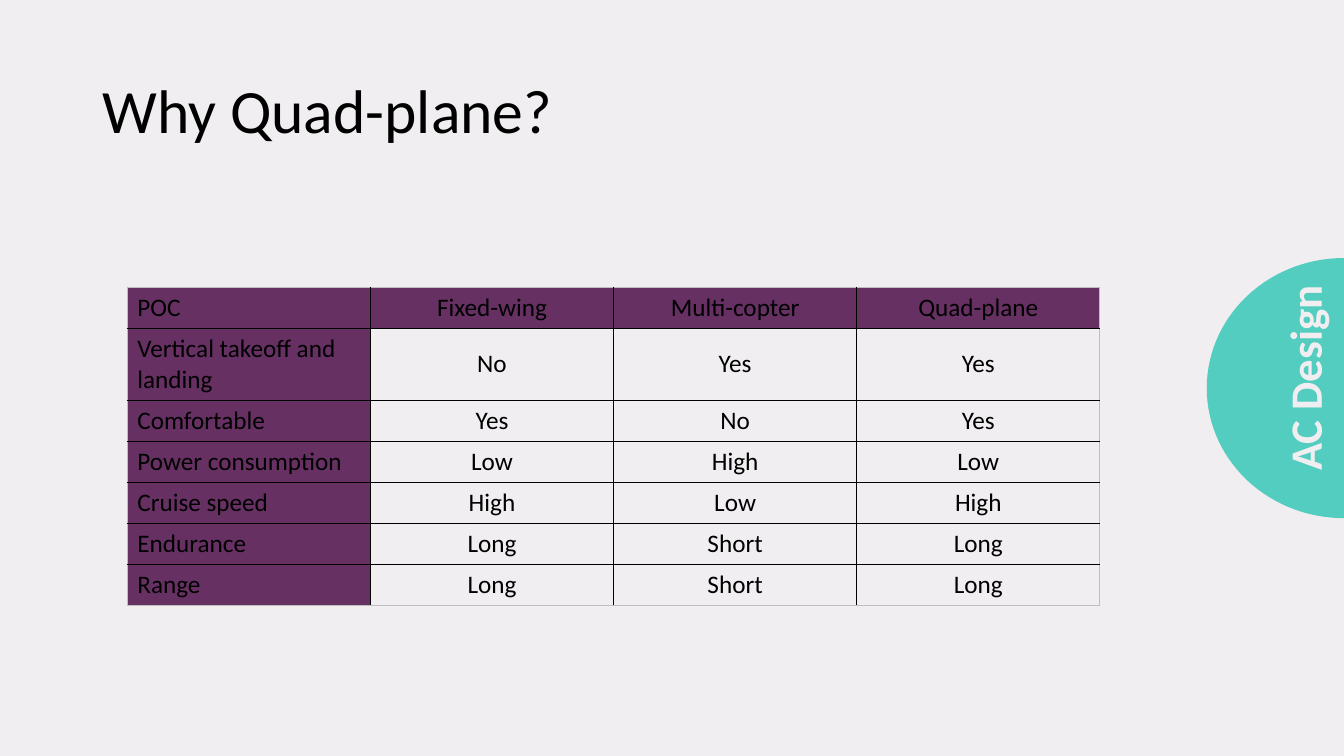
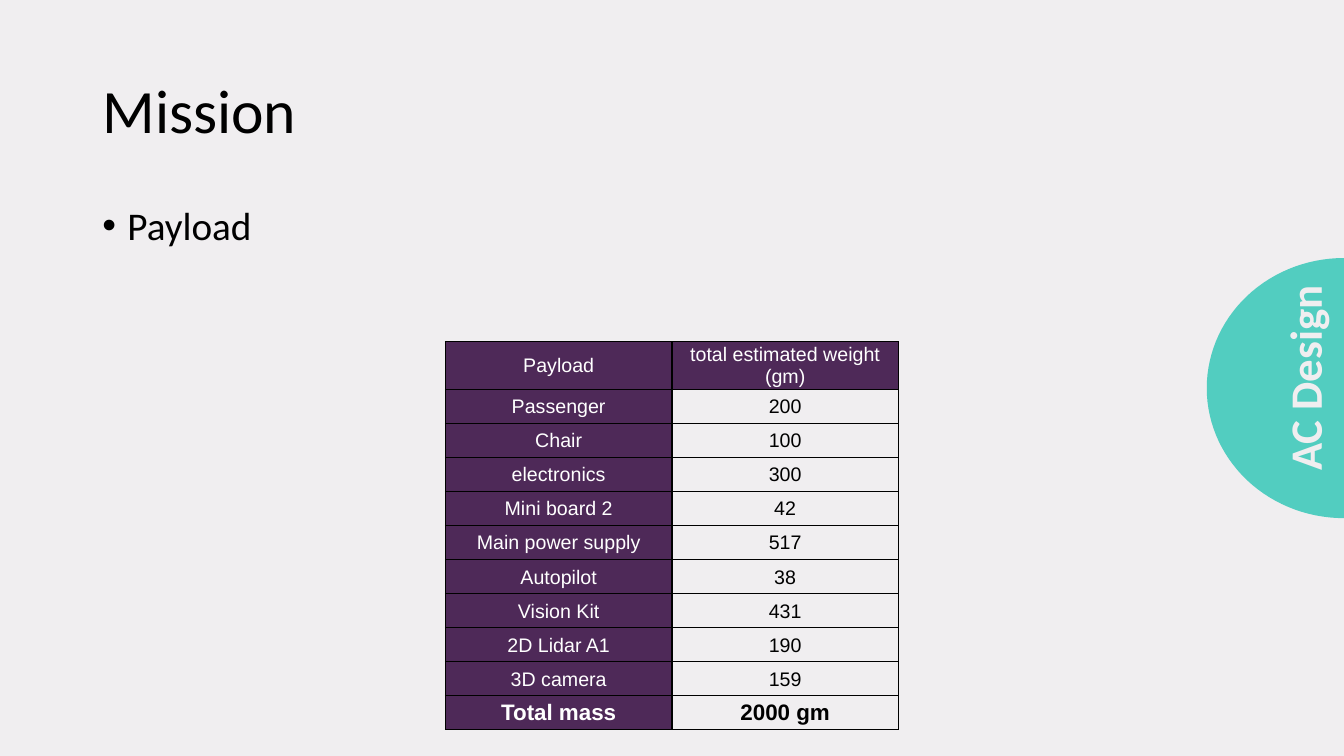
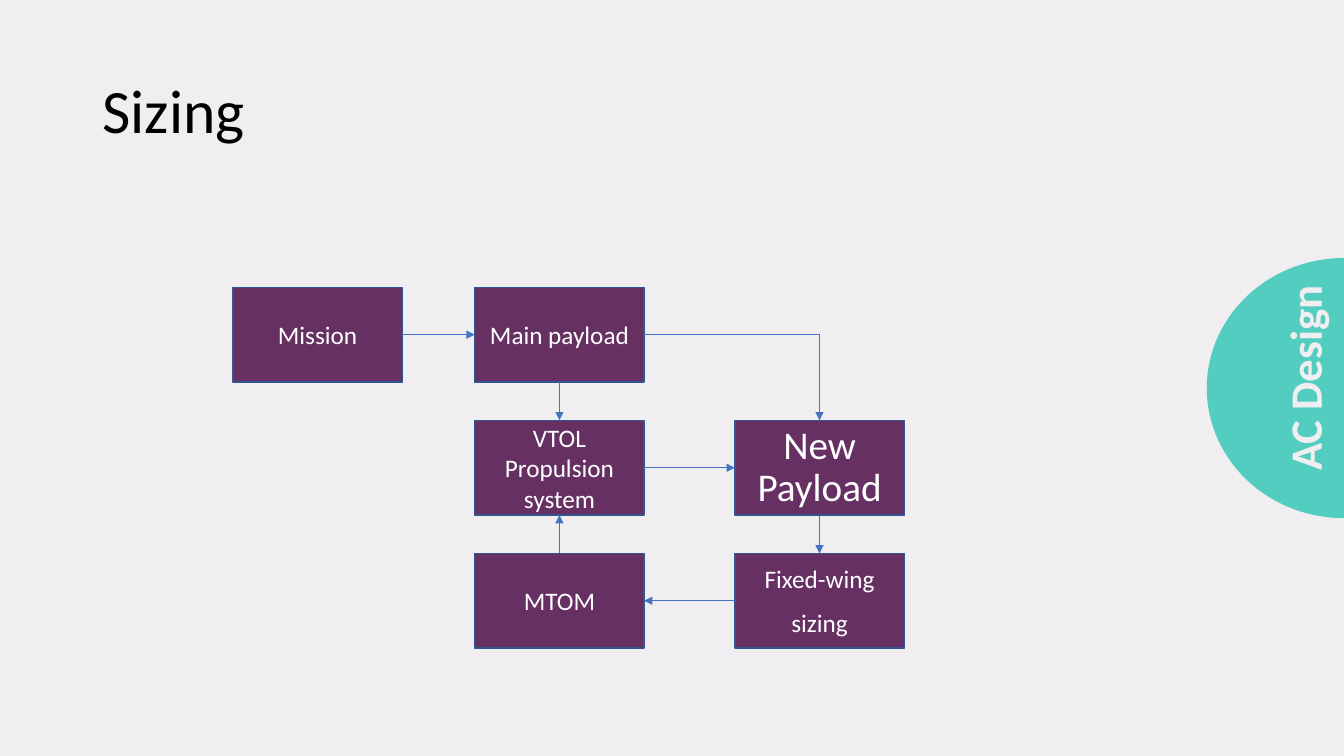
import math

import pptx
import pptx.dml.color
import pptx.enum.shapes
import pptx.enum.text
import pptx.oxml
import pptx.oxml.ns
import pptx.util

Pt = pptx.util.Pt
RGB = pptx.dml.color.RGBColor
ALIGN = pptx.enum.text.PP_ALIGN
ANCHOR = pptx.enum.text.MSO_ANCHOR
SHAPE = pptx.enum.shapes.MSO_SHAPE
CONNECTOR = pptx.enum.shapes.MSO_CONNECTOR
qn = pptx.oxml.ns.qn

# Shared look
BACKGROUND = RGB(0xF0, 0xEE, 0xF0)
BLACK = RGB(0x00, 0x00, 0x00)
WHITE = RGB(0xFF, 0xFF, 0xFF)
PURPLE = RGB(0x66, 0x30, 0x63)
DARK_PURPLE = RGB(0x4E, 0x29, 0x58)
TEAL = RGB(0x52, 0xCD, 0xC0)
BOX_LINE = RGB(0x32, 0x54, 0x91)
ARROW = RGB(0x44, 0x72, 0xC4)
GREY = RGB(0xBF, 0xBF, 0xBF)
FONT = "Calibri"
WIDTH, HEIGHT = 960, 540

# Flow chart grid
COLUMNS = (166.3, 339.1, 524.9)
ROW_TOP, ROW_STEP = 205.2, 95.05
BOX_W, BOX_H = 121, 67.7
TOP, LEFT, BOTTOM, RIGHT = range(4)

QUAD_ROWS = [
    ("POC", "Fixed-wing", "Multi-copter", "Quad-plane"),
    ("Vertical takeoff and landing", "No", "Yes", "Yes"),
    ("Comfortable", "Yes", "No", "Yes"),
    ("Power consumption", "Low", "High", "Low"),
    ("Cruise speed", "High", "Low", "High"),
    ("Endurance", "Long", "Short", "Long"),
    ("Range", "Long", "Short", "Long"),
]
PAYLOAD_ROWS = [
    ("Payload", "total estimated weight (gm)"),
    ("Passenger", "200"),
    ("Chair", "100"),
    ("electronics", "300"),
    ("Mini board 2", "42"),
    ("Main power supply", "517"),
    ("Autopilot", "38"),
    ("Vision Kit", "431"),
    ("2D Lidar A1", "190"),
    ("3D camera", "159"),
    ("Total mass", "2000 gm"),
]


def add_run(p, text, size, color, bold=False, font=FONT):
    r = p.add_run()
    r.text = text
    r.font.name, r.font.size, r.font.bold = font, Pt(size), bold
    r.font.color.rgb = color


def add_text_box(s, x, y, w, h):
    sp = s.shapes.add_textbox(Pt(x), Pt(y), Pt(w), Pt(h))
    sp.text_frame.word_wrap = True
    return sp


# Side band: half ellipse on the right edge with a rotated section name
def add_band(s):
    rx, ry, cy, steps = 98, 92.9, 277.2, 60
    angles = [math.pi * (0.5 + i / steps) for i in range(steps + 1)]
    points = [(Pt(WIDTH + rx * math.cos(a)), Pt(cy - ry * math.sin(a)))
              for a in angles]
    builder = s.shapes.build_freeform(*points[0])
    builder.add_line_segments(points[1:], close=True)
    sp = builder.convert_to_shape()
    sp.shadow.inherit = False
    sp.fill.solid()
    sp.fill.fore_color.rgb = TEAL
    sp.line.fill.background()

    sp = add_text_box(s, 854.6, 245.5, 157, 49)
    sp.rotation = 270
    p = sp.text_frame.paragraphs[0]
    p.alignment = ALIGN.CENTER
    add_run(p, "AC Design", 32, BACKGROUND, bold=True)


def add_slide(prs, title):
    s = prs.slides.add_slide(prs.slide_layouts[5])
    sp = s.shapes.title
    sp.left, sp.top, sp.width, sp.height = Pt(66), Pt(28.8), Pt(828), Pt(104.4)
    tf = sp.text_frame
    tf.vertical_anchor = ANCHOR.MIDDLE
    p = tf.paragraphs[0]
    p.alignment, p.line_spacing = ALIGN.LEFT, 0.9
    add_run(p, title, 44, BLACK)
    add_band(s)
    return s


def add_bullet(s, text):
    p = add_text_box(s, 66, 144, 828, 342.7).text_frame.paragraphs[0]
    p.line_spacing, p.space_before = 0.9, Pt(10)
    pPr = p._p.get_or_add_pPr()
    pPr.set("marL", str(Pt(18)))
    pPr.set("indent", str(-Pt(18)))
    bullet_font = pPr.makeelement(qn("a:buFont"), {"typeface": "Arial"})
    bullet = pPr.makeelement(qn("a:buChar"), {"char": "•"})
    pPr.extend([bullet_font, bullet])
    add_run(p, text, 28, BLACK)


# Tables
def set_border(cell, side, color):
    pPr = cell._tc.get_or_add_tcPr()
    pPr.append(pptx.oxml.parse_xml(
        f'<a:{side} xmlns:a="http://schemas.openxmlformats.org/drawingml/2006/main"'
        f' w="{Pt(1)}"><a:solidFill><a:srgbClr val="{color}"/></a:solidFill>'
        f'</a:{side}>'))


def add_table(s, rows, x, y, col_w, heights, fill, outer):
    n, m = len(rows), len(rows[0])
    tbl = s.shapes.add_table(n, m, Pt(x), Pt(y), Pt(col_w * m),
                             Pt(sum(heights))).table
    tbl.first_row = tbl.horz_banding = False
    for column in tbl.columns:
        column.width = Pt(col_w)
    for row, height in zip(tbl.rows, heights):
        row.height = Pt(height)
    for i in range(n):
        for j in range(m):
            cell = tbl.cell(i, j)
            edges = {"lnL": j == 0, "lnR": j == m - 1,
                     "lnT": i == 0, "lnB": i == n - 1}
            for side, on_edge in edges.items():
                set_border(cell, side, outer if on_edge else BLACK)
            if i == 0 or j == 0:
                cell.fill.solid()
                cell.fill.fore_color.rgb = fill
            else:
                cell.fill.background()
            cell.vertical_anchor = ANCHOR.MIDDLE
    return tbl


def add_quad_table(s):
    heights = [29.3, 51.4] + [29.3] * 5
    tbl = add_table(s, QUAD_ROWS, 90.9, 205.2, 173.7, heights, PURPLE, GREY)
    for i, row in enumerate(QUAD_ROWS):
        for j, text in enumerate(row):
            p = tbl.cell(i, j).text_frame.paragraphs[0]
            p.alignment = ALIGN.CENTER if j else ALIGN.LEFT
            add_run(p, text, 18, BLACK)


def add_payload_table(s):
    heights = [33.3] + [24.3] * 10
    tbl = add_table(s, PAYLOAD_ROWS, 318.2, 244, 161.8, heights,
                    DARK_PURPLE, BLACK)
    for i, row in enumerate(PAYLOAD_ROWS):
        total = i == len(PAYLOAD_ROWS) - 1
        for j, text in enumerate(row):
            cell = tbl.cell(i, j)
            cell.margin_left = cell.margin_right = cell.margin_top = Pt(0.7)
            cell.margin_bottom = Pt(0)
            p = cell.text_frame.paragraphs[0]
            p.alignment = ALIGN.CENTER
            color = BLACK if i and j else WHITE
            add_run(p, text, 16 if total else 14, color, total, "Arial")


# Flow chart
def add_box(s, col, row, *lines, size=18, spacing=1.0):
    sp = s.shapes.add_shape(SHAPE.RECTANGLE, Pt(COLUMNS[col]),
                            Pt(ROW_TOP + row * ROW_STEP), Pt(BOX_W), Pt(BOX_H))
    sp.shadow.inherit = False
    sp.fill.solid()
    sp.fill.fore_color.rgb = PURPLE
    sp.line.color.rgb, sp.line.width = BOX_LINE, Pt(1)
    tf = sp.text_frame
    tf.word_wrap, tf.vertical_anchor = True, ANCHOR.MIDDLE
    for i, line in enumerate(lines):
        p = tf.add_paragraph() if i else tf.paragraphs[0]
        p.alignment, p.line_spacing, p.space_before = ALIGN.CENTER, spacing, Pt(10)
        add_run(p, line, size, WHITE)
    return sp


def add_arrow(s, start, start_side, end, end_side, bent=False):
    kind = CONNECTOR.ELBOW if bent else CONNECTOR.STRAIGHT
    cx = s.shapes.add_connector(kind, 0, 0, 0, 0)
    cx.begin_connect(start, start_side)
    cx.end_connect(end, end_side)
    cx.line.color.rgb, cx.line.width = ARROW, Pt(0.5)
    spPr = cx._element.spPr
    if bent:
        spPr.find(qn("a:prstGeom")).set("prst", "bentConnector2")
    ln = spPr.find(qn("a:ln"))
    ln.append(ln.makeelement(qn("a:tailEnd"), {"type": "triangle"}))
    spPr.append(spPr.makeelement(qn("a:effectLst"), {}))


def add_flow_chart(s):
    mission = add_box(s, 0, 0, "Mission")
    main_payload = add_box(s, 1, 0, "Main payload")
    vtol = add_box(s, 1, 1, "VTOL Propulsion system")
    new_payload = add_box(s, 2, 1, "New Payload", size=28, spacing=0.9)
    mtom = add_box(s, 1, 2, "MTOM")
    fixed_wing = add_box(s, 2, 2, "Fixed-wing", "sizing")

    add_arrow(s, mission, RIGHT, main_payload, LEFT)
    add_arrow(s, main_payload, BOTTOM, vtol, TOP)
    add_arrow(s, main_payload, RIGHT, new_payload, TOP, bent=True)
    add_arrow(s, vtol, RIGHT, new_payload, LEFT)
    add_arrow(s, new_payload, BOTTOM, fixed_wing, TOP)
    add_arrow(s, fixed_wing, LEFT, mtom, RIGHT)
    add_arrow(s, mtom, TOP, vtol, BOTTOM)


def main():
    prs = pptx.Presentation()
    prs.slide_width, prs.slide_height = Pt(WIDTH), Pt(HEIGHT)
    fill = prs.slide_master.background.fill
    fill.solid()
    fill.fore_color.rgb = BACKGROUND

    add_quad_table(add_slide(prs, "Why Quad-plane?"))

    s = add_slide(prs, "Mission")
    add_bullet(s, "Payload")
    add_payload_table(s)

    add_flow_chart(add_slide(prs, "Sizing"))
    prs.save("out.pptx")


if __name__ == "__main__":
    main()
